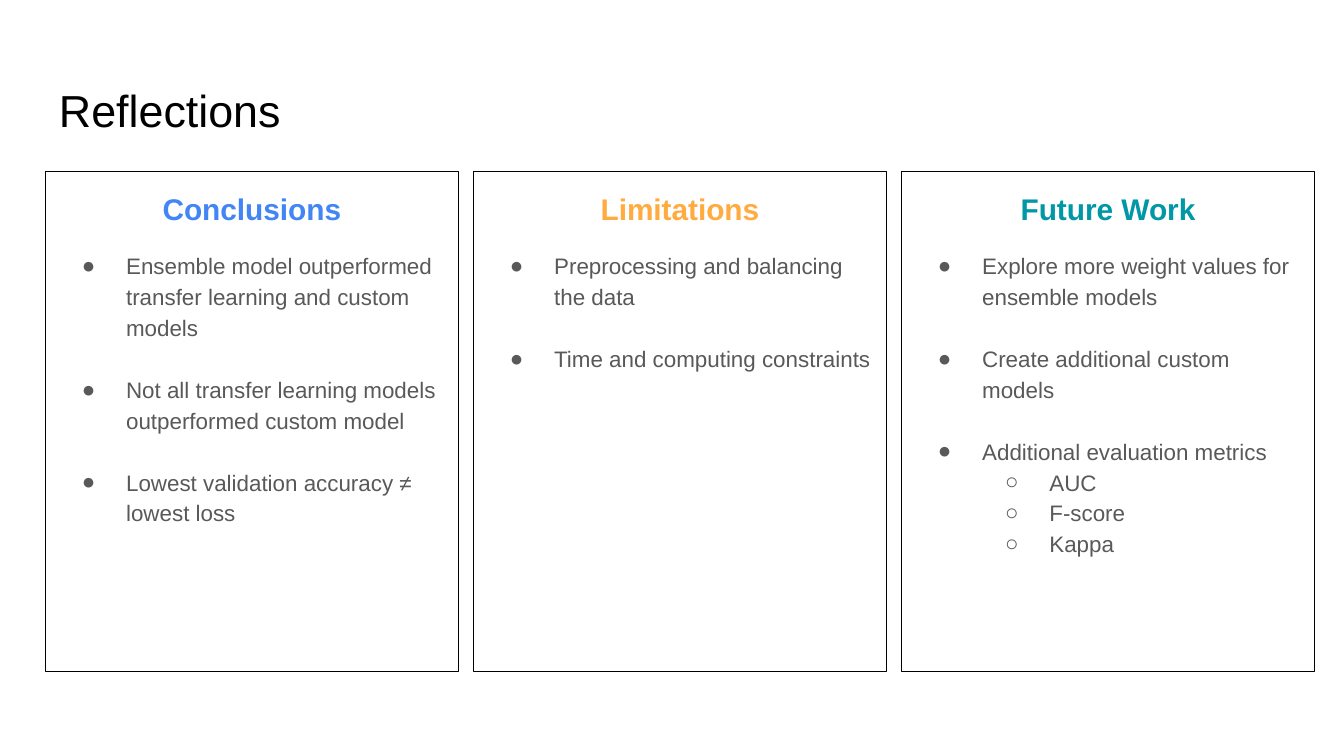
from lxml.etree import SubElement
from pptx import Presentation
from pptx.dml.color import RGBColor
from pptx.enum.shapes import MSO_SHAPE
from pptx.enum.text import MSO_ANCHOR, PP_ALIGN
from pptx.oxml.ns import qn
from pptx.util import Pt

PX = 4572  # 200 px to the inch
FONT = "Arial"
COLORS = {"black": "000000", "grey": "595959", "blue": "4285F4",
          "orange": "FFAB40", "teal": "0097A7"}
MARKS = "●○"

# Each card: heading, colour, and points as (level, text)
CARDS = [
    ("Conclusions", "blue", [
        (0, "Ensemble model outperformed transfer learning and custom models"),
        (0, "Not all transfer learning models outperformed custom model"),
        (0, "Lowest validation accuracy ≠ lowest loss")]),
    ("Limitations", "orange", [
        (0, "Preprocessing and balancing the data"),
        (0, "Time and computing constraints")]),
    ("Future Work", "teal", [
        (0, "Explore more weight values for ensemble models"),
        (0, "Create additional custom models"),
        (0, "Additional evaluation metrics"),
        (1, "AUC"), (1, "F-score"), (1, "Kappa")]),
]


def scale(*sizes):
    return [size * PX for size in sizes]


def setup(frame, anchor):
    frame.word_wrap = True
    frame.vertical_anchor = anchor
    frame.margin_left = frame.margin_right = 20 * PX
    frame.margin_top = frame.margin_bottom = 20 * PX


def write(para, text, size, color, bold=False):
    para.text = text
    font = para.runs[0].font
    font.name, font.size, font.bold = FONT, Pt(size), bold
    font.color.rgb = RGBColor.from_string(COLORS[color])


def bullet(para, level):
    para.level = level
    props = para._p.get_or_add_pPr()
    props.set("marL", str(100 * (level + 1) * PX))
    props.set("indent", str(-66 * PX))
    tint = SubElement(props, qn("a:buClr"))
    SubElement(tint, qn("a:srgbClr"), val=COLORS["grey"])
    SubElement(props, qn("a:buFont"), typeface=FONT)
    SubElement(props, qn("a:buChar"), char=MARKS[level])


def add_title(slide, box, text):
    frame = slide.shapes.add_textbox(*scale(*box)).text_frame
    setup(frame, MSO_ANCHOR.BOTTOM)
    write(frame.paragraphs[0], text, 24, "black")


def add_card(slide, box, heading, color, points):
    # Outlined box
    card = slide.shapes.add_shape(MSO_SHAPE.RECTANGLE, *scale(*box))
    card.shadow.inherit = False
    card.fill.background()
    card.line.color.rgb = RGBColor.from_string(COLORS["black"])
    card.line.width = Pt(0.75)
    frame = card.text_frame
    setup(frame, MSO_ANCHOR.TOP)

    # Heading
    head = frame.paragraphs[0]
    write(head, heading, 16, color, bold=True)
    head.alignment = PP_ALIGN.CENTER
    head.line_spacing = 1.15

    # Points, with a line's gap between those of the top level
    for i, (level, text) in enumerate(points):
        para = frame.add_paragraph()
        write(para, text, 12, "grey")
        para.alignment = PP_ALIGN.LEFT
        para.line_spacing = 1.15
        if i == 0:
            para.space_before = Pt(12)
        else:
            para.space_before = 0 if level else 46 * PX
        bullet(para, level)


def main():
    deck = Presentation()
    deck.slide_width, deck.slide_height = scale(2000, 1125)
    slide = deck.slides.add_slide(deck.slide_layouts[6])

    # Row of cards
    left, top, width, height, gap = 68, 255, 614, 744, 23
    for i, card in enumerate(CARDS):
        add_card(slide, (left + i * (width + gap), top, width, height), *card)

    # Title
    add_title(slide, (left, 97, 1864, 126), "Reflections")
    deck.save("out.pptx")


if __name__ == "__main__":
    main()
